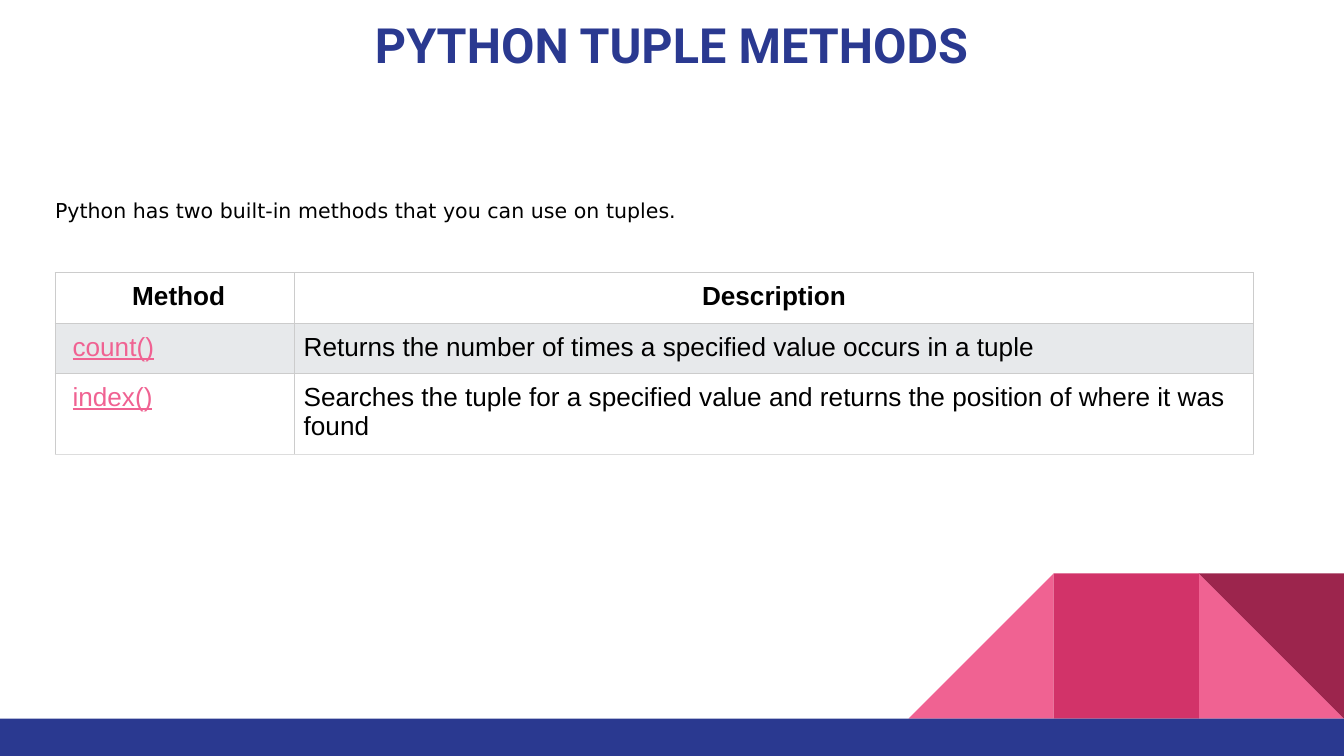
from lxml import etree
from pptx import Presentation
from pptx.dml.color import RGBColor
from pptx.enum import shapes, text
from pptx.oxml import ns
from pptx.util import Inches, Pt

NAVY = RGBColor(0x2A, 0x39, 0x90)
PINK = RGBColor(0xF0, 0x62, 0x92)
ROSE = RGBColor(0xD2, 0x33, 0x69)
WINE = RGBColor(0x9C, 0x25, 0x4D)
BLACK = RGBColor(0x00, 0x00, 0x00)
WHITE = RGBColor(0xFF, 0xFF, 0xFF)
BAND = RGBColor(0xE7, 0xE9, 0xEB)
RULE = RGBColor(0xCC, 0xCC, 0xCC)
RULE_LIGHT = RGBColor(0xDD, 0xDD, 0xDD)


def write(frame, words, font="Arial", size=14, color=BLACK, bold=False,
          underline=False, align=text.PP_ALIGN.LEFT):
    paragraph = frame.paragraphs[0]
    paragraph.alignment = align
    run = paragraph.add_run()
    run.text = words
    run.font.name = font
    run.font.size = Pt(size)
    run.font.color.rgb = color
    run.font.bold = bold
    run.font.underline = underline


def set_margins(target, left, top, right, bottom):
    target.margin_left, target.margin_top = Inches(left), Inches(top)
    target.margin_right, target.margin_bottom = Inches(right), Inches(bottom)


def set_border(cell, side, color):
    line = etree.SubElement(cell._tc.get_or_add_tcPr(), ns.qn(f"a:ln{side}"), w=str(Pt(0.6)))
    fill = etree.SubElement(line, ns.qn("a:solidFill"))
    etree.SubElement(fill, ns.qn("a:srgbClr"), val=str(color))


class SlideBuilder:
    """Holds the current slide and places elements on a square grid, 100 columns wide."""

    columns = 100
    rows = 56.25

    def __init__(self, presentation):
        self.unit = presentation.slide_width / self.columns
        self.slide = presentation.slides.add_slide(presentation.slide_layouts[6])

    def grid(self, *lengths):
        return [round(length * self.unit) for length in lengths]

    def block(self, kind, box, color, rotation=0):
        shape = self.slide.shapes.add_shape(kind, *self.grid(*box))
        shape.shadow.inherit = False
        shape.fill.solid()
        shape.fill.fore_color.rgb = color
        shape.line.fill.background()
        shape.rotation = rotation
        return shape

    def label(self, shape, words, margins, **style):
        frame = shape.text_frame
        frame.word_wrap = True
        frame.vertical_anchor = text.MSO_ANCHOR.MIDDLE
        set_margins(frame, *margins)
        write(frame, words, **style)

    def title(self, words, box):
        shape = self.slide.shapes.add_textbox(*self.grid(*box))
        self.label(shape, words, (0.1, 0.1, 0.1, 0.1), font="Roboto", size=26,
                   color=NAVY, bold=True, align=text.PP_ALIGN.CENTER)

    def note(self, words, box):
        shape = self.block(shapes.MSO_SHAPE.RECTANGLE, box, WHITE)
        self.label(shape, words, (0, 0.05, 0, 0.05), font="DejaVu Sans", size=11)

    def table(self, entries, left, top, widths, heights):
        box = self.grid(left, top, sum(widths), sum(heights))
        table = self.slide.shapes.add_table(len(heights), len(widths), *box).table
        table.horz_banding = False
        for column, width in zip(table.columns, self.grid(*widths)):
            column.width = width
        for row, height in zip(table.rows, self.grid(*heights)):
            row.height = height
        for i, entry in enumerate(entries):
            for j, words in enumerate(entry):
                self.cell(table.cell(i, j), words, header=i == 0, method=j == 0,
                          fill=BAND if i % 2 else WHITE,
                          bottom=RULE_LIGHT if i == len(entries) - 1 else RULE)

    def cell(self, cell, words, header, method, fill, bottom):
        link = method and not header
        for side in "LRT":
            set_border(cell, side, RULE)
        set_border(cell, "B", bottom)
        cell.fill.solid()
        cell.fill.fore_color.rgb = fill
        set_margins(cell, 0.13 if method else 0.07, 0.07, 0.07, 0.07)
        write(cell.text_frame, words, color=PINK if link else BLACK,
              bold=header, underline=link,
              align=text.PP_ALIGN.CENTER if header else text.PP_ALIGN.LEFT)

    def footer(self, side, height):
        rectangle, triangle = shapes.MSO_SHAPE.RECTANGLE, shapes.MSO_SHAPE.RIGHT_TRIANGLE
        floor = self.rows - height
        tiles = [(triangle, 1, PINK, 0), (triangle, 3, PINK, 270),
                 (rectangle, 2, ROSE, 0), (triangle, 1, WINE, 180)]
        for kind, place, color, rotation in tiles:
            box = (self.columns - place * side, floor - side, side, side)
            self.block(kind, box, color, rotation)
        self.block(rectangle, (0, floor, self.columns, height), NAVY)


def main():
    presentation = Presentation()
    presentation.slide_width = Inches(10)
    presentation.slide_height = Inches(5.625)
    builder = SlideBuilder(presentation)
    builder.footer(side=10.8, height=2.78)
    builder.title("PYTHON TUPLE METHODS", (0, 0, 100, 6.6))
    builder.table([
        ("Method", "Description"),
        ("count()", "Returns the number of times a specified value occurs in a tuple"),
        ("index()", "Searches the tuple for a specified value and returns "
                    "the position of where it was found"),
    ], left=4.1, top=20.3, widths=(17.8, 71.4), heights=(3.5, 3.5, 5.7))
    builder.note("Python has two built-in methods that you can use on tuples.",
                 (4.1, 14.2, 89.3, 2.9))
    presentation.save("out.pptx")


if __name__ == "__main__":
    main()
